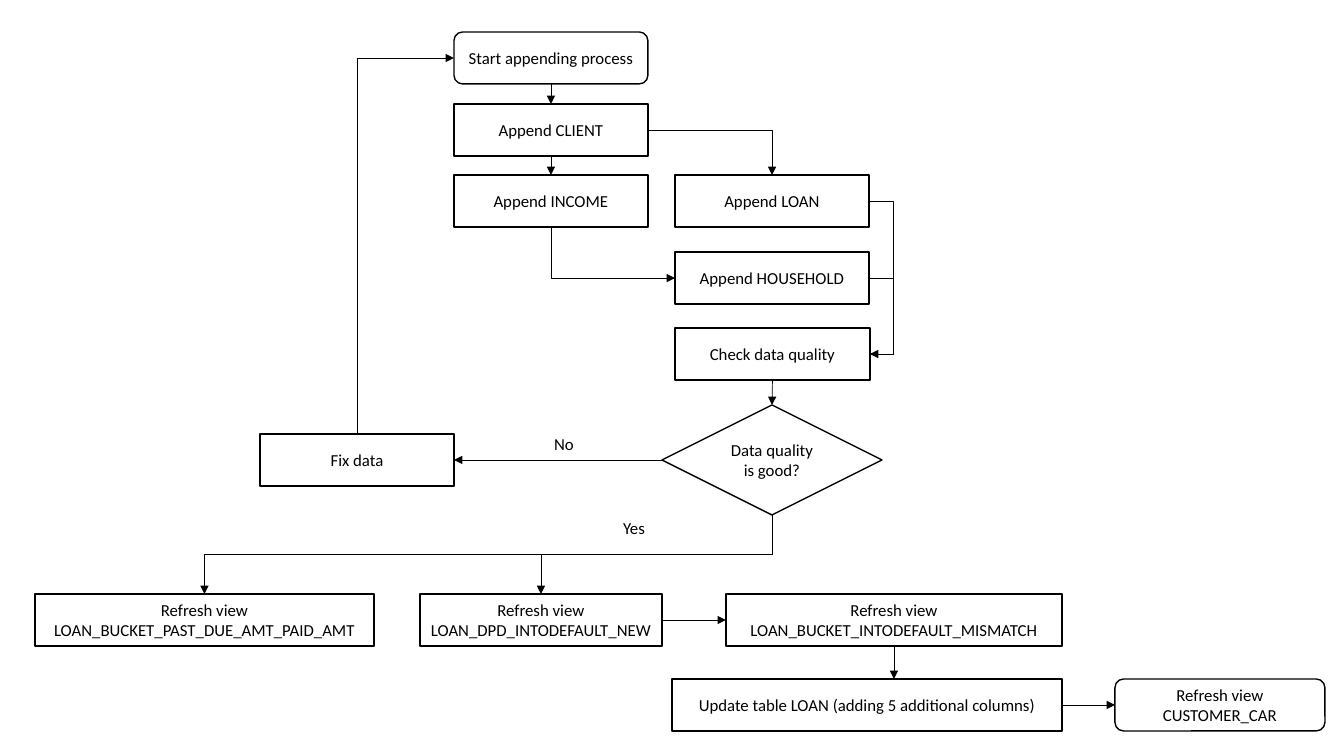
"""Flowchart of the data appending process."""
import pptx
import pptx.util
import pptx.dml.color
import pptx.enum.shapes
import pptx.enum.text
import pptx.oxml
import pptx.oxml.ns

PX = 914400 / 100.8
BLACK = pptx.dml.color.RGBColor.from_string("000000")
SHAPE = pptx.enum.shapes.MSO_SHAPE
CONNECTOR = pptx.enum.shapes.MSO_CONNECTOR
TOP, LEFT, BOTTOM, RIGHT = range(4)
qn = pptx.oxml.ns.qn

prs = pptx.Presentation()
prs.slide_width, prs.slide_height = round(1344 * PX), round(756 * PX)
s = prs.slides.add_slide(prs.slide_layouts[6])


def write(sp, text):
    tf = sp.text_frame
    tf.word_wrap = True
    p = tf.paragraphs[0]
    p.alignment = pptx.enum.text.PP_ALIGN.CENTER
    r = p.add_run()
    r.text = text
    r.font.name = "Calibri"
    r.font.size = pptx.util.Pt(12)
    r.font.color.rgb = BLACK


def link(start, start_site, end, end_site, preset="line", arrow=True, adj=None):
    kind = CONNECTOR.STRAIGHT if preset == "line" else CONNECTOR.ELBOW
    c = s.shapes.add_connector(kind, 0, 0, 0, 0)
    c.begin_connect(steps[start], start_site)
    c.end_connect(steps[end], end_site)
    c.line.color.rgb = BLACK
    c.line.width = pptx.util.Pt(0.5)
    spPr = c._element.spPr
    if arrow:
        pptx.oxml.ns.qn
        tail = pptx.oxml.parse_xml(f'<a:tailEnd {pptx.oxml.ns.nsdecls("a")} type="triangle"/>')
        c.line._get_or_add_ln().append(tail)
    spPr.append(pptx.oxml.parse_xml(f'<a:effectLst {pptx.oxml.ns.nsdecls("a")}/>'))
    geom = spPr.find(qn("a:prstGeom"))
    geom.set("prst", preset)
    if adj is not None:
        gd = pptx.oxml.parse_xml(
            f'<a:avLst {pptx.oxml.ns.nsdecls("a")}><a:gd name="adj1" fmla="val {adj}"/></a:avLst>')
        geom.replace(geom.find(qn("a:avLst")), gd)
    if preset != "line" and start_site in (TOP, BOTTOM):
        x1, y1, x2, y2 = c.begin_x, c.begin_y, c.end_x, c.end_y
        c.width, c.height = abs(y2 - y1), abs(x2 - x1)
        c.left = (x1 + x2 - c.width) // 2
        c.top = (y1 + y2 - c.height) // 2
        xfrm = spPr.find(qn("a:xfrm"))
        xfrm.set("rot", "5400000")
        xfrm.set("flipH", "1" if y2 < y1 else "0")
        xfrm.set("flipV", "1" if x2 > x1 else "0")
    return c


steps = {}
for name, text, x, y, w, h, kind in [
    ("start", "Start appending process", 454, 32, 194, 52, SHAPE.ROUNDED_RECTANGLE),
    ("client", "Append CLIENT", 454, 104, 194, 52, SHAPE.RECTANGLE),
    ("income", "Append INCOME", 454, 175, 194, 52, SHAPE.RECTANGLE),
    ("loan", "Append LOAN", 675, 175, 194, 52, SHAPE.RECTANGLE),
    ("household", "Append HOUSEHOLD", 675, 252, 194, 52, SHAPE.RECTANGLE),
    ("check", "Check data quality", 675, 328, 195, 52, SHAPE.RECTANGLE),
    ("good", "Data quality is good?", 662, 405, 220, 110, SHAPE.DIAMOND),
    ("fix", "Fix data", 260, 434, 194, 52, SHAPE.RECTANGLE),
    ("past_due", "Refresh view LOAN_BUCKET_PAST_DUE_AMT_PAID_AMT", 35, 594, 339, 52, SHAPE.RECTANGLE),
    ("dpd", "Refresh view LOAN_DPD_INTODEFAULT_NEW", 420, 594, 242, 52, SHAPE.RECTANGLE),
    ("mismatch", "Refresh view LOAN_BUCKET_INTODEFAULT_MISMATCH", 726, 594, 336, 52, SHAPE.RECTANGLE),
    ("update", "Update table LOAN (adding 5 additional columns)", 672, 679, 390, 52, SHAPE.RECTANGLE),
    ("customer", "Refresh view CUSTOMER_CAR", 1115, 679, 210, 52, SHAPE.ROUNDED_RECTANGLE),
]:
    sp = s.shapes.add_shape(kind, *(round(v * PX) for v in (x, y, w, h)))
    sp.shadow.inherit = False
    sp.fill.background()
    sp.line.color.rgb = BLACK
    sp.line.width = pptx.util.Pt(1)
    sp.text_frame.vertical_anchor = pptx.enum.text.MSO_ANCHOR.MIDDLE
    write(sp, text)
    steps[name] = sp

for text, x, y in [("No", 532, 429), ("Yes", 602, 513)]:
    write(s.shapes.add_textbox(*(round(v * PX) for v in (x, y, 64, 30))), text)

link("start", BOTTOM, "client", TOP)
link("client", BOTTOM, "income", TOP)
link("client", RIGHT, "loan", TOP, "bentConnector2")
link("income", BOTTOM, "household", LEFT, "bentConnector2")
link("household", RIGHT, "check", RIGHT, "bentConnector3", adj=2500000)
link("loan", RIGHT, "check", RIGHT, "bentConnector3", arrow=False, adj=2500000)
link("check", BOTTOM, "good", TOP)
link("good", LEFT, "fix", RIGHT)
link("fix", TOP, "start", LEFT, "bentConnector2")
link("good", BOTTOM, "dpd", TOP, "bentConnector3")
link("good", BOTTOM, "past_due", TOP, "bentConnector3")
link("dpd", RIGHT, "mismatch", LEFT)
link("update", RIGHT, "customer", LEFT)

c = link("mismatch", BOTTOM, "update", TOP)
glue = c._element.find(".//" + qn("a:endCxn"))
glue.getparent().remove(glue)
c.end_x = c.begin_x

prs.save("out.pptx")
